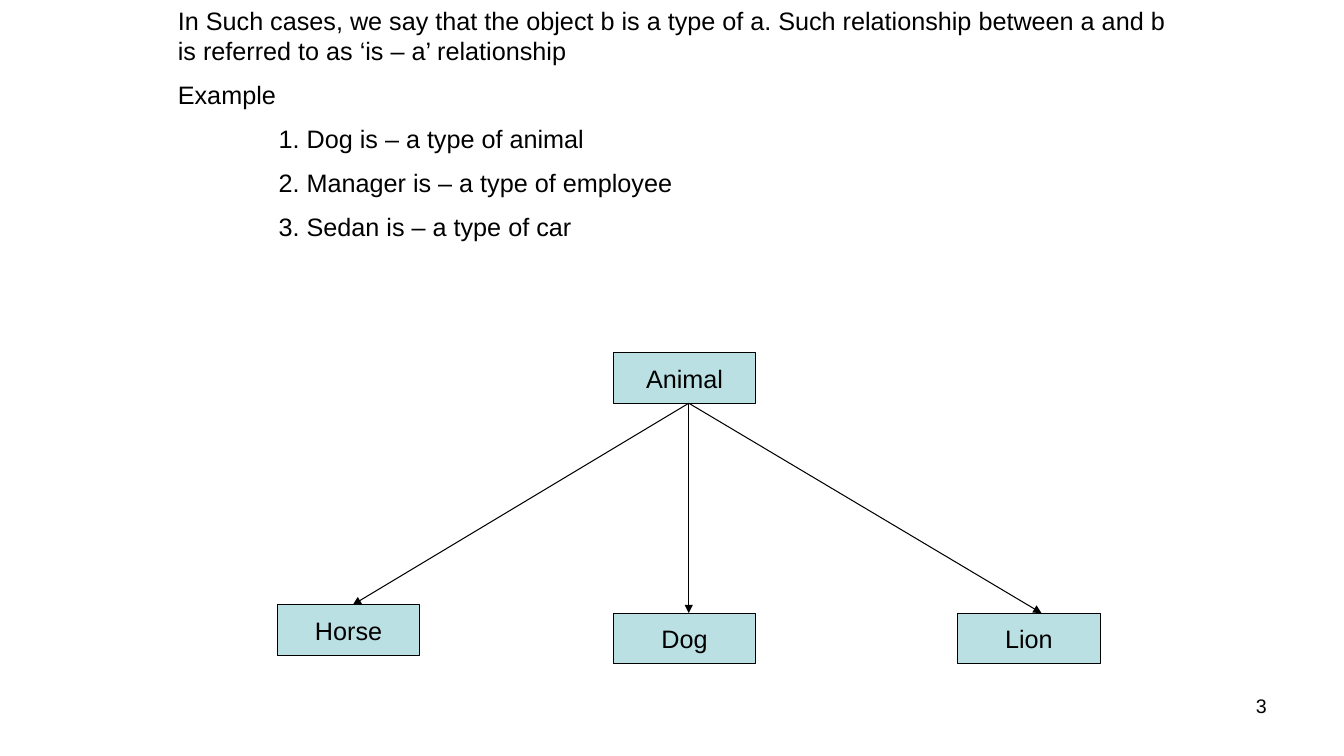
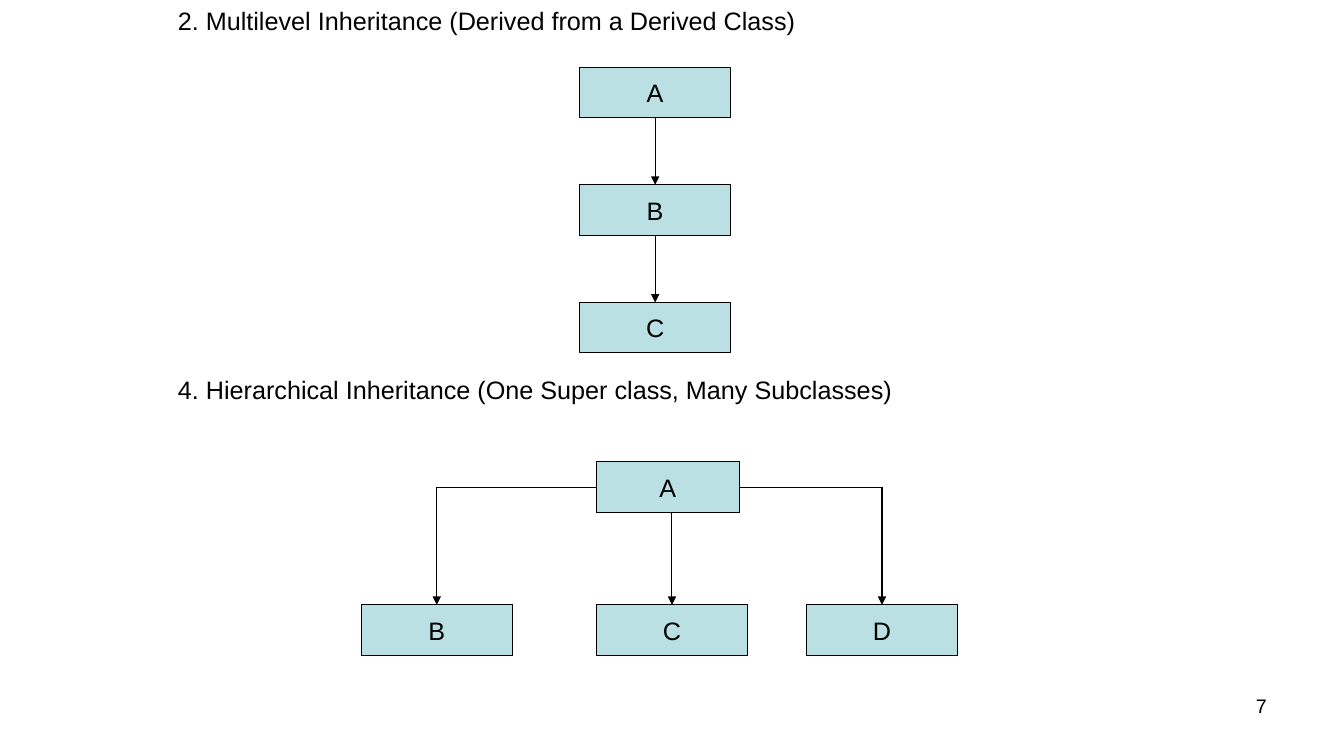
import pptx
import pptx.dml.color
import pptx.enum.shapes
import pptx.enum.text
import pptx.util
from lxml import etree

PX = 7620
FONT = "Arial"
INK = "000000"
BOX_FILL = "BBE0E3"
BOX_HEIGHT = 60
LINE_WIDTH = pptx.util.Pt(0.75)
LEFT = pptx.enum.text.PP_ALIGN.LEFT
CENTER = pptx.enum.text.PP_ALIGN.CENTER
RIGHT = pptx.enum.text.PP_ALIGN.RIGHT
color = pptx.dml.color.RGBColor.from_string


def write(frame, lines, size=18, align=LEFT):
    for number, (text, indent) in enumerate(lines):
        paragraph = frame.add_paragraph() if number else frame.paragraphs[0]
        paragraph.alignment = align
        if number:
            paragraph.space_before = pptx.util.Pt(9.8)
        if indent:
            paragraph._p.get_or_add_pPr().set("marL", str(indent * PX))
        run = paragraph.add_run()
        run.text = text
        run.font.name = FONT
        run.font.size = pptx.util.Pt(size)
        run.font.color.rgb = color(INK)


def add_text(slide, left, top, width, height, lines, size=18, align=LEFT):
    area = slide.shapes.add_textbox(left * PX, top * PX, width * PX, height * PX)
    area.text_frame.word_wrap = True
    write(area.text_frame, lines, size, align)


chain_left, chain_top, chain_step, chain_width = 690, 80, 140, 180
chain_center = chain_left + chain_width // 2
chain_tops = [chain_top + level * chain_step for level in range(3)]
branch_top, leaf_top = 580, 720

pages = [
    {
        "number": "3",
        "texts": [
            (200, 0, 1200, 301, [
                ("In Such cases, we say that the object b is a type of a. Such relationship "
                 "between a and b is referred to as ‘is – a’ relationship", 0),
                ("Example", 0),
                ("1. Dog is – a type of animal", 120),
                ("2. Manager is – a type of employee", 120),
                ("3. Sedan is – a type of car", 120),
            ]),
        ],
        "boxes": [
            ("Animal", 730, 420, 170),
            ("Horse", 330, 720, 170),
            ("Dog", 730, 730, 170),
            ("Lion", 1140, 730, 170),
        ],
        "arrows": [(820, 480, x, y) for x, y in [(820, 730), (420, 720), (1240, 730)]],
        "branches": [],
    },
    {
        "number": "7",
        "texts": [
            (200, 0, 770, 48, [("2. Multilevel Inheritance (Derived from a Derived Class)", 0)]),
            (200, 440, 890, 48,
             [("4. Hierarchical Inheritance (One Super class, Many Subclasses)", 0)]),
        ],
        "boxes": [
            *((name, chain_left, top, chain_width) for name, top in zip("ABC", chain_tops)),
            ("A", 710, 550, 170),
            ("B", 430, leaf_top, 180),
            ("C", 710, leaf_top, 180),
            ("D", 960, leaf_top, 180),
        ],
        "arrows": [
            *((chain_center, top + BOX_HEIGHT, chain_center, top + chain_step)
              for top in chain_tops[:-1]),
            (800, 610, 800, leaf_top),
            (520, branch_top, 520, leaf_top),
            (1050, branch_top, 1050, leaf_top),
        ],
        "branches": [(520, branch_top, 710, branch_top), (880, branch_top, 1050, branch_top)],
    },
]

deck = pptx.Presentation()
deck.slide_width = 1600 * PX
deck.slide_height = 900 * PX

for page in pages:
    slide = deck.slides.add_slide(deck.slide_layouts[6])
    add_text(slide, 1147, 820, 373, 62, [(page["number"], 0)], 14, RIGHT)

    for left, top, width, height, lines in page["texts"]:
        add_text(slide, left, top, width, height, lines)

    for label, left, top, width in page["boxes"]:
        box = slide.shapes.add_shape(pptx.enum.shapes.MSO_SHAPE.RECTANGLE,
                                     left * PX, top * PX, width * PX, BOX_HEIGHT * PX)
        box.shadow.inherit = False
        box.fill.solid()
        box.fill.fore_color.rgb = color(BOX_FILL)
        box.line.color.rgb = color(INK)
        box.line.width = LINE_WIDTH
        box.text_frame.word_wrap = False
        box.text_frame.vertical_anchor = pptx.enum.text.MSO_ANCHOR.MIDDLE
        write(box.text_frame, [(label, 0)], align=CENTER)

    for ends in page["arrows"] + page["branches"]:
        link = slide.shapes.add_connector(pptx.enum.shapes.MSO_CONNECTOR.STRAIGHT,
                                          *(value * PX for value in ends))
        link.line.color.rgb = color(INK)
        link.line.width = LINE_WIDTH
        if ends in page["arrows"]:
            etree.SubElement(link.line._get_or_add_ln(),
                             pptx.oxml.ns.qn("a:tailEnd"), type="triangle")
        etree.SubElement(link._element.spPr, pptx.oxml.ns.qn("a:effectLst"))

deck.save("out.pptx")
